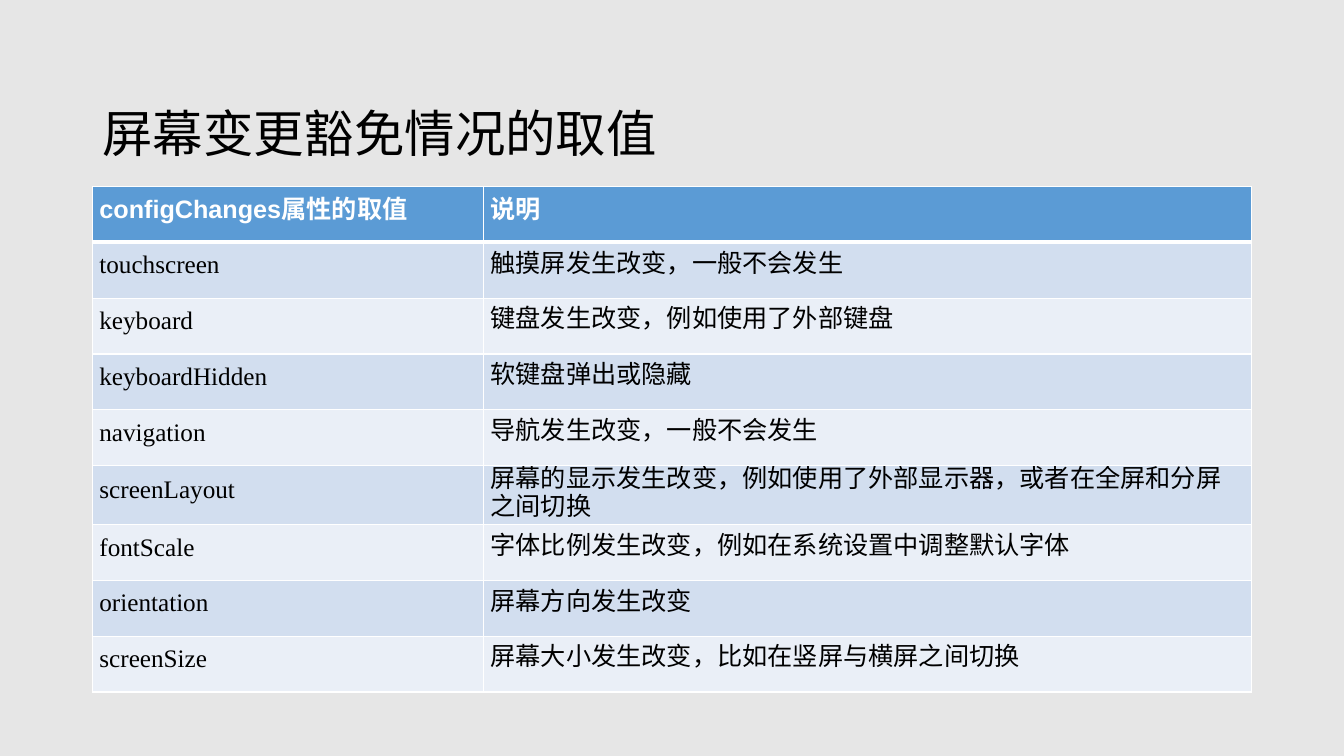
from lxml import etree
from pptx import Presentation
from pptx.dml.color import RGBColor
from pptx.enum.text import MSO_ANCHOR, PP_ALIGN
from pptx.oxml.ns import qn
from pptx.util import Pt

MIDDLE = MSO_ANCHOR.MIDDLE
LEFT, JUSTIFY = PP_ALIGN.LEFT, PP_ALIGN.JUSTIFY

COLORS = {
    "background": "E6E6E6",
    "header": "5B9BD5",
    "band_dark": "D2DEEF",
    "band_light": "EAEFF7",
    "border": "FFFFFF",
    "header_text": "FFFFFF",
    "text": "000000",
}


def write(tf, text, color, line_spacing, align=LEFT, **font):
    p = tf.paragraphs[0]
    p.alignment = align
    p.line_spacing = line_spacing
    r = p.add_run()
    r.text = text
    for name, value in font.items():
        setattr(r.font, name, value)
    r.font.color.rgb = RGBColor.from_string(COLORS[color])


def add_border(cell, side, width):
    ln = etree.SubElement(cell._tc.get_or_add_tcPr(), qn(f"a:ln{side}"), w=str(Pt(width)))
    fill = etree.SubElement(ln, qn("a:solidFill"))
    etree.SubElement(fill, qn("a:srgbClr"), val=COLORS["border"])


# Slide
prs = Presentation()
prs.slide_width, prs.slide_height = Pt(960), Pt(540)
s = prs.slides.add_slide(prs.slide_layouts[6])
s.background.fill.solid()
s.background.fill.fore_color.rgb = RGBColor.from_string(COLORS["background"])

# Title
sp = s.shapes.add_textbox(Pt(66), Pt(45), Pt(828), Pt(104.4))
tf = sp.text_frame
tf.word_wrap = True
tf.vertical_anchor = MIDDLE
write(tf, "屏幕变更豁免情况的取值", "text", 0.9, size=Pt(36), name="Calibri")

# Table of configChanges values
rows = [
    ("configChanges属性的取值", "说明"),
    ("touchscreen", "触摸屏发生改变，一般不会发生"),
    ("keyboard", "键盘发生改变，例如使用了外部键盘"),
    ("keyboardHidden", "软键盘弹出或隐藏"),
    ("navigation", "导航发生改变，一般不会发生"),
    ("screenLayout", "屏幕的显示发生改变，例如使用了外部显示器，或者在全屏和分屏之间切换"),
    ("fontScale", "字体比例发生改变，例如在系统设置中调整默认字体"),
    ("orientation", "屏幕方向发生改变"),
    ("screenSize", "屏幕大小发生改变，比如在竖屏与横屏之间切换"),
]
WRAPPED_ROW = 5
ROW_HEIGHT, WRAPPED_HEIGHT = 39.9, 42

table = s.shapes.add_table(len(rows), 2, Pt(66), Pt(133.2), Pt(828),
                           Pt(ROW_HEIGHT * 8 + WRAPPED_HEIGHT)).table
for column, width in zip(table.columns, (279.4, 548.6)):
    column.width = Pt(width)

cell_format = {"margin_left": Pt(5.04), "margin_right": Pt(5.04),
               "margin_top": 0, "margin_bottom": 0, "vertical_anchor": MIDDLE}
header_format = {"color": "header_text", "line_spacing": Pt(15.6), "align": JUSTIFY,
                 "name": "Arial", "bold": True}
body_format = {"color": "text", "name": "Times New Roman", "bold": False}

for i, texts in enumerate(rows):
    table.rows[i].height = Pt(WRAPPED_HEIGHT if i == WRAPPED_ROW else ROW_HEIGHT)
    band = "header" if i == 0 else "band_dark" if i % 2 else "band_light"
    for j, text in enumerate(texts):
        cell = table.cell(i, j)
        for name, value in cell_format.items():
            setattr(cell, name, value)
        # The rule below the header is heavier
        for side, width in (("L", 1), ("R", 1), ("T", 3 if i == 1 else 1), ("B", 3 if i == 0 else 1)):
            add_border(cell, side, width)
        cell.fill.solid()
        cell.fill.fore_color.rgb = RGBColor.from_string(COLORS[band])
        if i == 0:
            text_format = header_format
        else:
            wrapped = i == WRAPPED_ROW and j == 1
            text_format = {**body_format, "line_spacing": Pt(20 if wrapped else 13)}
        write(cell.text_frame, text, size=Pt(18), **text_format)

prs.save("out.pptx")
